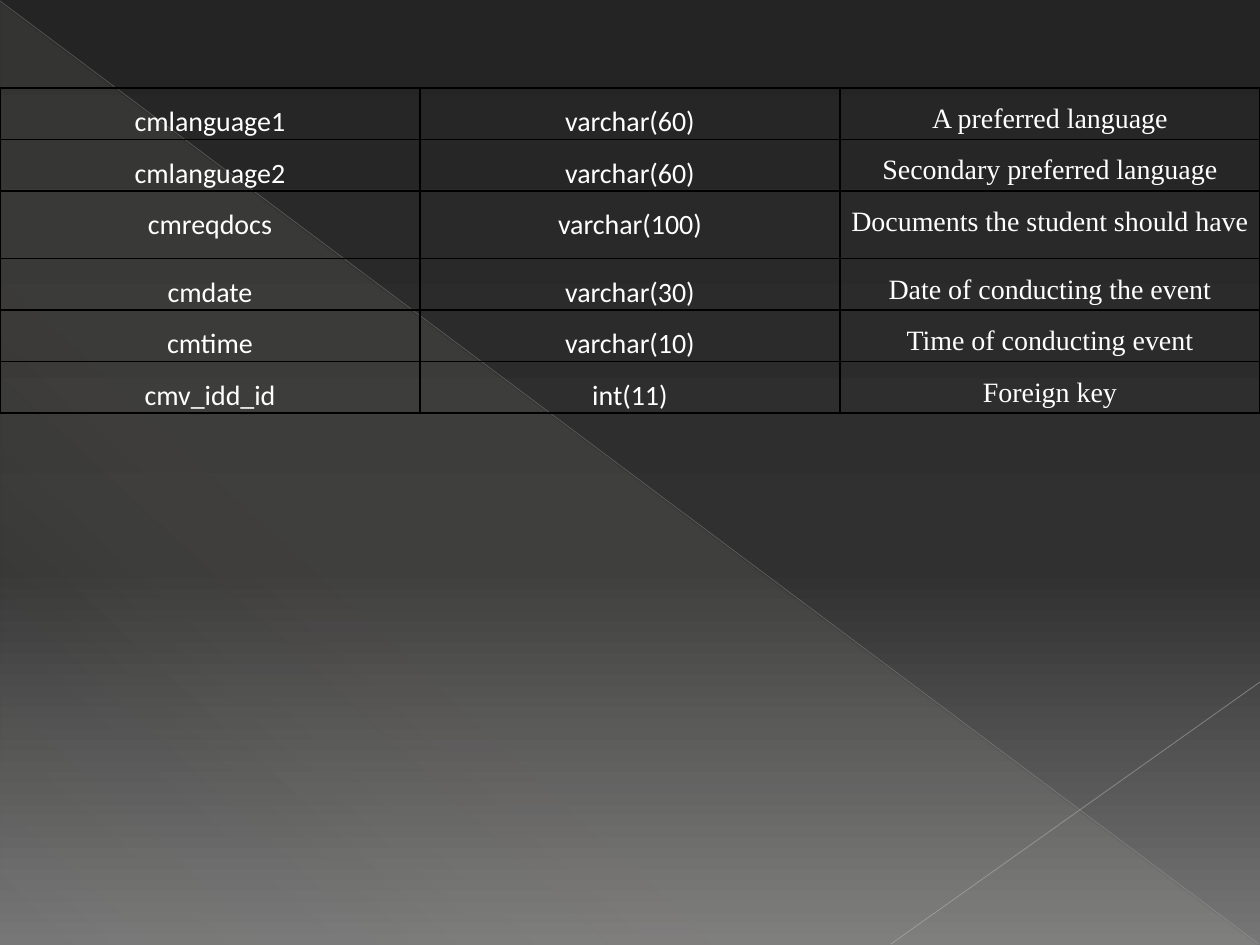
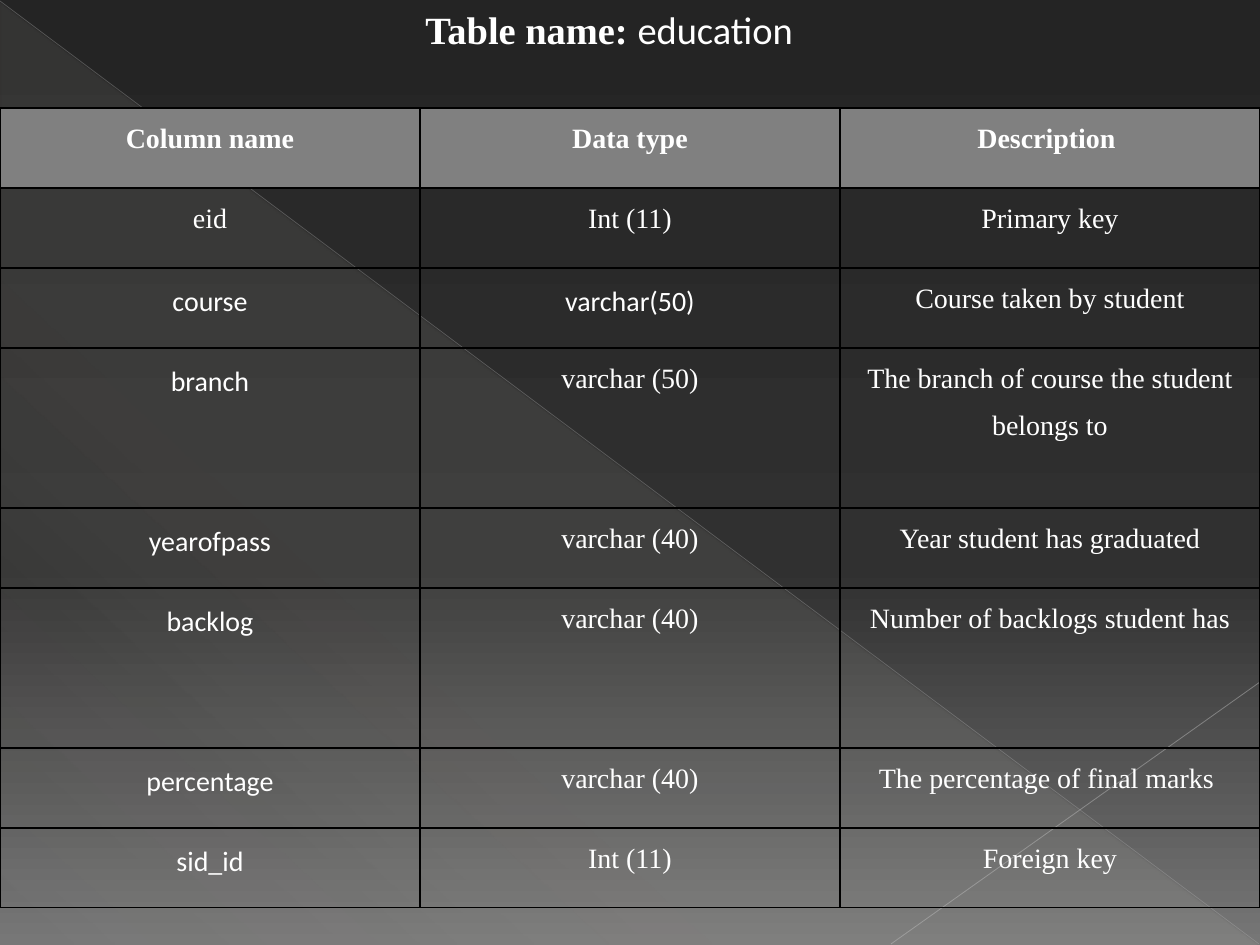
from dataclasses import dataclass
from typing import NamedTuple

from lxml import etree
from pptx import Presentation
from pptx.dml.color import RGBColor
from pptx.enum.shapes import MSO_CONNECTOR, MSO_SHAPE
from pptx.enum.text import MSO_ANCHOR, MSO_AUTO_SIZE, PP_ALIGN
from pptx.oxml.ns import qn
from pptx.util import Emu, Pt

STRAIGHT = MSO_CONNECTOR.STRAIGHT
WEDGE = MSO_SHAPE.RIGHT_TRIANGLE
MIDDLE = MSO_ANCHOR.MIDDLE
GROW = MSO_AUTO_SIZE.SHAPE_TO_FIT_TEXT
CENTER = PP_ALIGN.CENTER

WIDE, HIGH = 1260, 945
BLANK = 6
EDGES = ("a:lnL", "a:lnR", "a:lnT", "a:lnB")


class Stop(NamedTuple):
    pos: int
    color: str
    alpha: int = 100


class Line(NamedTuple):
    start: tuple[int, int]
    end: tuple[int, int]
    color: str
    width: float
    alpha: int


class Row(NamedTuple):
    texts: tuple[str, str, str]
    fonts: tuple[str, str, str]
    high: int
    head: bool = False


@dataclass(frozen=True)
class Theme:
    sans: str = "Calibri"
    serif: str = "Times New Roman"
    text: str = "FFFFFF"
    head: str = "808080"
    grid: str = "000000"
    title: int = 22
    body: int = 16
    back: tuple[Stop, ...] = (
        Stop(0, "242424"), Stop(60, "303030"), Stop(100, "767676"))
    wedge: tuple[Stop, ...] = (
        Stop(0, "E3DED1", 10), Stop(70, "E3DED1", 8), Stop(100, "E3DED1", 1))
    lines: tuple[Line, ...] = (
        Line((0, 1), (1259, 944), "B6B6B6", 0.39, 35),
        Line((1260, 682), (891, 944), "BFBFBF", 0.47, 45))


THEME = Theme()
SERIF = (THEME.serif,) * 3
MIXED = (THEME.sans, THEME.serif, THEME.serif)
SANS = (THEME.sans, THEME.sans, THEME.serif)

EVENT = (
    Row(("cmlanguage1", "varchar(60)", "A preferred language"), SANS, 49),
    Row(("cmlanguage2", "varchar(60)", "Secondary preferred language"),
        SANS, 49),
    Row(("cmreqdocs", "varchar(100)", "Documents the student should have"),
        SANS, 68),
    Row(("cmdate", "varchar(30)", "Date of conducting the event"), SANS, 49),
    Row(("cmtime", "varchar(10)", "Time of conducting event"), SANS, 49),
    Row(("cmv_idd_id", "int(11)", "Foreign key"), SANS, 49),
)
STUDY = (
    Row(("Column name", "Data type", "Description "), SERIF, 80, True),
    Row(("eid", "Int (11)", "Primary key"), SERIF, 80),
    Row(("course", "varchar(50)", "Course taken by student"), SANS, 80),
    Row(("branch", "varchar (50)",
         "The branch of course the student belongs to"), MIXED, 160),
    Row(("yearofpass", "varchar (40)", "Year student has graduated"),
        MIXED, 80),
    Row(("backlog", "varchar (40)", "Number of backlogs student has"),
        MIXED, 160),
    Row(("percentage", "varchar (40)", "The percentage of final marks "),
        MIXED, 80),
    Row(("sid_id", "Int (11)", "Foreign key"), MIXED, 80),
)


def px(n: int) -> Emu:
    return Emu(round(n * 914400 / 126))


def add_color(parent, color: str, alpha: int = 100) -> None:
    node = etree.SubElement(parent, qn("a:srgbClr"), val=color)
    if alpha < 100:
        etree.SubElement(node, qn("a:alpha"), val=str(alpha * 1000))


def blend(fill, root, stops: tuple[Stop, ...], angle: int) -> None:
    """Fill with a gradient whose angle runs clockwise."""
    fill.gradient()
    fill.gradient_angle = 360 - angle
    group = next(root.iter(qn("a:gsLst")))
    for old in list(group):
        group.remove(old)
    for stop in stops:
        node = etree.SubElement(group, qn("a:gs"), pos=str(stop.pos * 1000))
        add_color(node, stop.color, stop.alpha)


def add_text(para, text: str, font: str, size: int, bold: bool) -> None:
    run = para.add_run()
    run.text = text
    run.font.name = font
    run.font.size = Pt(size)
    run.font.bold = bold
    run.font.color.rgb = RGBColor.from_string(THEME.text)


def add_line(slide, line: Line) -> None:
    ends = [px(n) for n in line.start + line.end]
    link = slide.shapes.add_connector(STRAIGHT, *ends)
    link.line.width = Pt(line.width)
    link.line.color.rgb = RGBColor.from_string(line.color)
    color = next(link.element.spPr.iter(qn("a:srgbClr")))
    etree.SubElement(color, qn("a:alpha"), val=str(line.alpha * 1000))
    etree.SubElement(link.element.spPr, qn("a:effectLst"))


def add_base(deck):
    """Add a slide with the wedge and the two thin lines."""
    slide = deck.slides.add_slide(deck.slide_layouts[BLANK])
    wedge = slide.shapes.add_shape(WEDGE, px(1), px(3), px(1257), px(942))
    wedge.shadow.inherit = False
    wedge.line.fill.background()
    blend(wedge.fill, wedge.element, THEME.wedge, 133)
    for line in THEME.lines:
        add_line(slide, line)
    return slide


def add_edges(cell) -> None:
    props = cell._tc.get_or_add_tcPr()
    for spot, tag in enumerate(EDGES):
        edge = etree.Element(qn(tag), w=str(Pt(1)))
        add_color(etree.SubElement(edge, qn("a:solidFill")), THEME.grid)
        props.insert(spot, edge)


def set_cell(cell, text: str, font: str, head: bool) -> None:
    cell.margin_left = cell.margin_right = 0
    cell.margin_top = cell.margin_bottom = 0
    if head:
        cell.fill.solid()
        cell.fill.fore_color.rgb = RGBColor.from_string(THEME.head)
    else:
        cell.fill.background()
    add_edges(cell)
    para = cell.text_frame.paragraphs[0]
    para.alignment = CENTER
    para.line_spacing = 1.5
    para.space_after = Pt(8)
    add_text(para, text, font, THEME.body, head)


def add_grid(slide, top: int, rows: tuple[Row, ...]) -> None:
    count = len(rows[0].texts)
    high = sum(row.high for row in rows)
    frame = slide.shapes.add_table(
        len(rows), count, 0, px(top), px(WIDE), px(high))
    table = frame.table
    table.first_row = table.horz_banding = False
    for col in table.columns:
        col.width = px(WIDE // count)
    for line, row in zip(table.rows, rows):
        line.height = px(row.high)
        for cell, text, font in zip(line.cells, row.texts, row.fonts):
            set_cell(cell, text, font, row.head)


def add_title(slide, label: str, name: str) -> None:
    box = slide.shapes.add_textbox(px(413), 0, px(397), px(59))
    frame = box.text_frame
    frame.word_wrap = False
    frame.auto_size = GROW
    frame.vertical_anchor = MIDDLE
    para = frame.paragraphs[0]
    add_text(para, label, THEME.serif, THEME.title, True)
    add_text(para, name, THEME.sans, THEME.title, False)


def main() -> None:
    deck = Presentation()
    deck.slide_width, deck.slide_height = px(WIDE), px(HIGH)
    base = deck.slide_master
    blend(base.background.fill, base.element, THEME.back, 90)

    add_grid(add_base(deck), 88, EVENT)

    study = add_base(deck)
    add_grid(study, 108, STUDY)
    add_title(study, "Table name: ", "education")
    deck.save("out.pptx")


if __name__ == "__main__":
    main()
